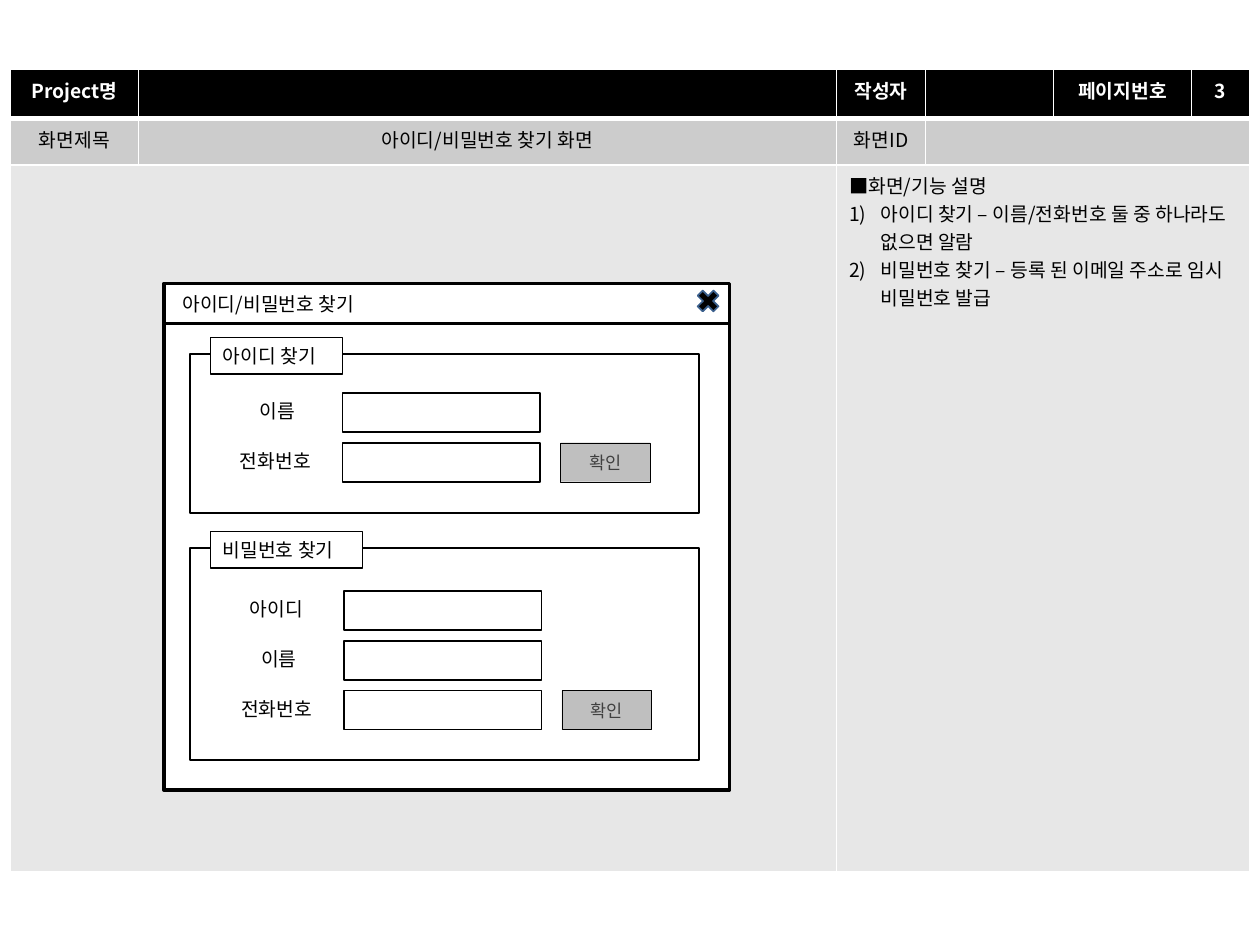
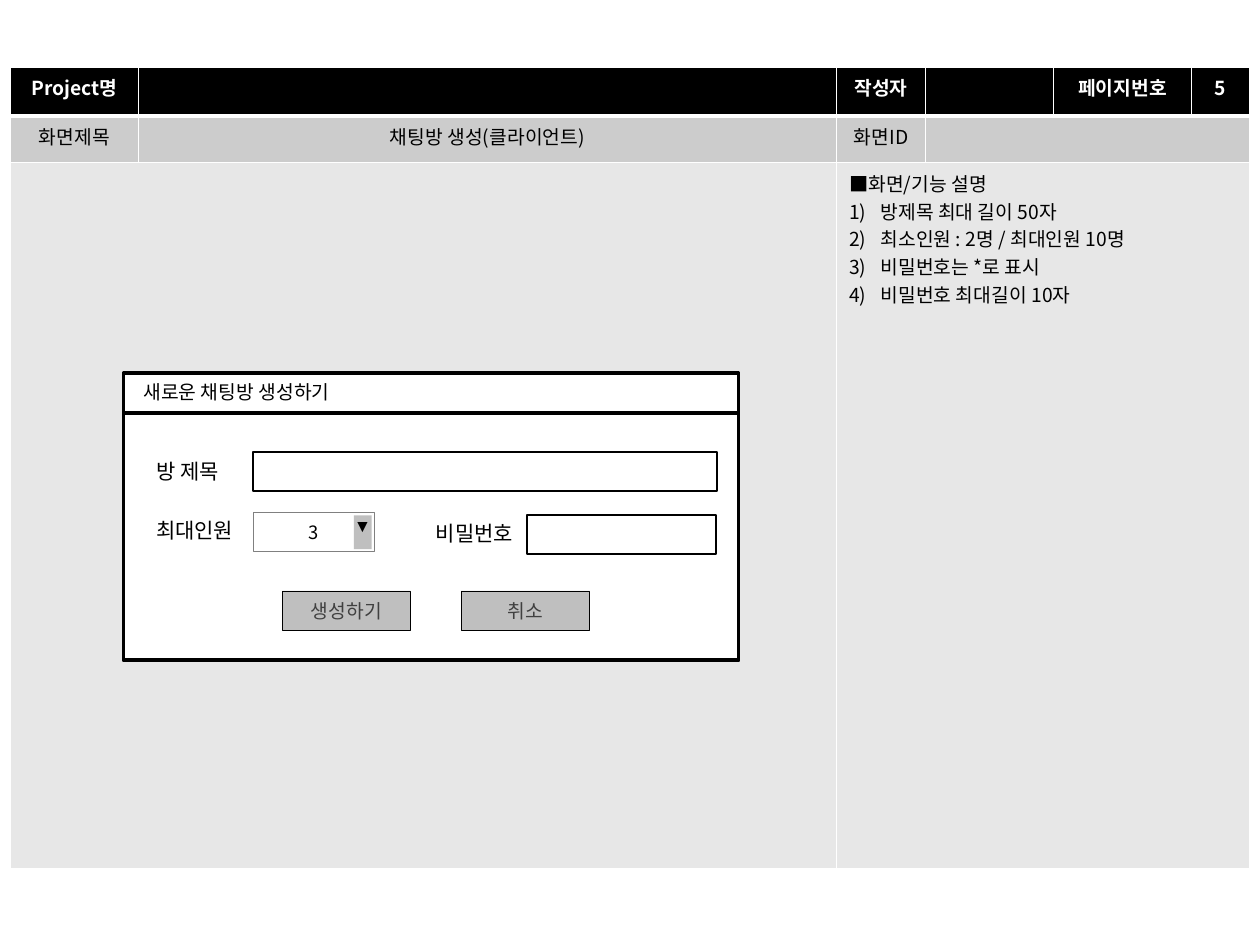
"""Builds two screen-design sheets for a chat client: account recovery and room creation."""
from lxml import etree
from pptx import Presentation
from pptx.dml.color import RGBColor
from pptx.enum.shapes import MSO_CONNECTOR, MSO_SHAPE
from pptx.enum.text import MSO_ANCHOR, PP_ALIGN
from pptx.oxml.ns import qn
from pptx.util import Pt

RECTANGLE, CROSS = MSO_SHAPE.RECTANGLE, MSO_SHAPE.MATH_MULTIPLY
STRAIGHT = MSO_CONNECTOR.STRAIGHT
LEFT, CENTER = PP_ALIGN.LEFT, PP_ALIGN.CENTER
TOP, MIDDLE = MSO_ANCHOR.TOP, MSO_ANCHOR.MIDDLE

COLORS = {
    "black": "000000", "white": "FFFFFF", "title": "CCCCCC", "body": "E7E7E7",
    "button": "BFBFBF", "button_text": "404040", "combo": "808080", "cross": "3A5F8C",
}
KOREAN = "Noto Sans CJK KR"

PLAIN = {"fill": None, "line": None, "width": 0, "shape": RECTANGLE, "size": 11,
         "color": "black", "font": KOREAN, "align": LEFT, "anchor": TOP,
         "inset": (7.2, 3.6), "wrap": True}
OUTLINED = {**PLAIN, "fill": "white", "line": "black", "width": 1}
BUTTON = {**OUTLINED, "fill": "button", "width": 0.25, "color": "button_text",
          "align": CENTER, "anchor": MIDDLE, "inset": (3.6, 3.6)}
STYLES = {
    "caption": PLAIN,
    "label": {**PLAIN, "size": 12},
    "window": {**OUTLINED, "width": 2},
    "frame": OUTLINED,
    "legend": {**OUTLINED, "width": 0.75},
    "close": {**OUTLINED, "shape": CROSS, "fill": "black", "line": "cross"},
    "button": BUTTON,
    "small button": {**BUTTON, "size": 10},
    "combo": {**BUTTON, "fill": "white", "line": "combo", "color": "black",
              "size": 10.5, "inset": (2.88, 3.6)},
    "arrow": {**PLAIN, "fill": "button", "size": 10, "font": "Arial",
              "inset": (0, 0), "wrap": False},
}


def write(paragraph, text, size=11, color="black", font=KOREAN, align=LEFT, bold=False):
    paragraph.alignment = align
    run = paragraph.add_run()
    run.text = text
    run.font.color.rgb = RGBColor.from_string(COLORS[color])
    for attribute, value in {"size": Pt(size), "name": font, "bold": bold}.items():
        setattr(run.font, attribute, value)
    etree.SubElement(run.font._element, qn("a:ea"), typeface=font)


def place(slide, role, left, top, width, height, text=""):
    style = STYLES[role]
    bounds = [Pt(length) for length in (left, top, width, height)]
    if style["fill"]:
        part = slide.shapes.add_shape(style["shape"], *bounds)
        part.shadow.inherit = False
        part.fill.solid()
        part.fill.fore_color.rgb = RGBColor.from_string(COLORS[style["fill"]])
        if style["line"]:
            part.line.color.rgb = RGBColor.from_string(COLORS[style["line"]])
            part.line.width = Pt(style["width"])
        else:
            part.line.fill.background()
    else:
        part = slide.shapes.add_textbox(*bounds)
    if text:
        across, down = (Pt(inset) for inset in style["inset"])
        layout = {"word_wrap": style["wrap"], "vertical_anchor": style["anchor"],
                  "margin_left": across, "margin_right": across,
                  "margin_top": down, "margin_bottom": down}
        for attribute, value in layout.items():
            setattr(part.text_frame, attribute, value)
        write(part.text_frame.paragraphs[0], text,
              **{key: style[key] for key in ("size", "color", "font", "align")})


recovery = [
    ("window", 93.6, 162, 323.3, 289.4),
    ("rule", 93.6, 185, 323.3, 0),
    ("caption", 97.2, 163.4, 132.5, 20.9, "아이디/비밀번호 찾기"),
    ("close", 396, 163.4, 17.3, 17.3),
]
LABEL_PLACES = {"이름": (141.5, 45.4), "전화번호": (130, 67.7), "아이디": (135, 56.2)}
FIELD_HEIGHT, FIELD_PITCH = 22.3, 28.4
for legend, legend_width, frame_top, frame_height, first_field, shift, labels in (
    ("아이디 찾기", 75.6, 202.3, 90.7, 224.6, 0, ("이름", "전화번호")),
    ("비밀번호 찾기", 87.1, 313.2, 121, 337.8, 0.7, ("아이디", "이름", "전화번호")),
):
    recovery += [
        ("frame", 108.7, frame_top, 290.9, frame_height),
        ("legend", 120.2, frame_top - 9.4, legend_width, 20.9, legend),
    ]
    for row, label in enumerate(labels):
        field_top = first_field + row * FIELD_PITCH
        label_left, label_width = LABEL_PLACES[label]
        recovery += [
            ("frame", 195.8 + shift, field_top, 113, FIELD_HEIGHT),
            ("caption", label_left + shift, field_top, label_width, 20.9, label),
        ]
    recovery.append(("small button", 320.4 + shift, field_top, 51.1, FIELD_HEIGHT, "확인"))

room = [
    ("window", 70.6, 213.1, 351.5, 164.2),
    ("frame", 144.7, 258.5, 265, FIELD_HEIGHT),
    ("rule", 70.6, 236.1, 351.8, 0),
    ("caption", 74.9, 213.8, 194.4, 20.9, "새로운 채팅방 생성하기"),
    ("label", 82.1, 258.5, 56.9, 21.6, "방 제목"),
    ("label", 82.1, 292.4, 67.7, 21.6, "최대인원"),
    ("combo", 144.7, 292.7, 69.1, FIELD_HEIGHT, "3"),
    ("arrow", 202.3, 294.5, 10.1, 19.4, "▼"),
    ("label", 242, 293.8, 96.5, 21.6, "비밀번호"),
    ("frame", 301, 294.3, 108, FIELD_HEIGHT),
    ("button", 161.3, 337.7, 73.4, FIELD_HEIGHT, "생성하기"),
    ("button", 263.5, 337.7, 73.4, FIELD_HEIGHT, "취소"),
]

SCREENS = [
    ("3", 39.8, "아이디/비밀번호 찾기 화면",
     ["아이디 찾기 – 이름/전화번호 둘 중 하나라도 없으면 알람",
      "비밀번호 찾기 – 등록 된 이메일 주소로 임시 비밀번호 발급"], recovery),
    ("5", 38.2, "채팅방 생성(클라이언트)",
     ["방제목 최대 길이 50자", "최소인원 : 2명 / 최대인원 10명",
      "비밀번호는 *로 표시", "비밀번호 최대길이 10자"], room),
]
COLUMN_WIDTHS = (73, 399, 51, 73, 79, 33)
ROW_HEIGHTS = (28, 26.6, 403.9)
ROW_FILLS = ("black", "title", "body")
ROW_BORDERS = ({"lnL": 1, "lnR": 1, "lnT": 1, "lnB": 3},
               {"lnL": 1, "lnR": 1, "lnT": 3, "lnB": 1},
               {"lnL": 1, "lnR": 1, "lnT": 1, "lnB": 1})

deck = Presentation()
deck.slide_width, deck.slide_height = Pt(720), Pt(540)

for page, sheet_top, screen_title, notes, parts in SCREENS:
    slide = deck.slides.add_slide(deck.slide_layouts[6])
    sheet = slide.shapes.add_table(3, 6, Pt(6), Pt(sheet_top), Pt(sum(COLUMN_WIDTHS)),
                                   Pt(sum(ROW_HEIGHTS))).table
    for column, width in zip(sheet.columns, COLUMN_WIDTHS):
        column.width = Pt(width)
    for first, last in (((1, 3), (1, 5)), ((2, 0), (2, 1)), ((2, 2), (2, 5))):
        sheet.cell(*first).merge(sheet.cell(*last))

    headings = (("Project명", "", "작성자", "", "페이지번호", page),
                ("화면제목", screen_title, "화면ID", "", "", ""),
                ("", "", "■화면/기능 설명", "", "", ""))
    for row, texts in enumerate(headings):
        sheet.rows[row].height = Pt(ROW_HEIGHTS[row])
        for column, text in enumerate(texts):
            cell = sheet.cell(row, column)
            for side, width in ROW_BORDERS[row].items():
                border = etree.SubElement(cell._tc.get_or_add_tcPr(), qn(f"a:{side}"),
                                          w=str(Pt(width)))
                paint = etree.SubElement(border, qn("a:solidFill"))
                etree.SubElement(paint, qn("a:srgbClr"), val=COLORS["white"])
            cell.fill.solid()
            cell.fill.fore_color.rgb = RGBColor.from_string(COLORS[ROW_FILLS[row]])
            paragraph = cell.text_frame.paragraphs[0]
            if text:
                write(paragraph, text, color="black" if row else "white",
                      align=LEFT if row == 2 else CENTER, bold=row == 0)
            else:
                etree.SubElement(paragraph._p, qn("a:endParaRPr"), sz="1100")

    for note in notes:
        paragraph = sheet.cell(2, 2).text_frame.add_paragraph()
        properties = paragraph._p.get_or_add_pPr()
        properties.set("marL", str(Pt(18)))
        properties.set("indent", str(-Pt(18)))
        etree.SubElement(properties, qn("a:buAutoNum"), type="arabicParenR")
        write(paragraph, note)

    for role, left, top, width, height, *text in parts:
        if role == "rule":
            rule = slide.shapes.add_connector(STRAIGHT, Pt(left), Pt(top),
                                              Pt(left + width), Pt(top))
            rule.line.color.rgb = RGBColor.from_string(COLORS["black"])
            rule.line.width = Pt(2)
            etree.SubElement(rule._element.spPr, qn("a:effectLst"))
        else:
            place(slide, role, left, top, width, height, *text)

deck.save("out.pptx")
